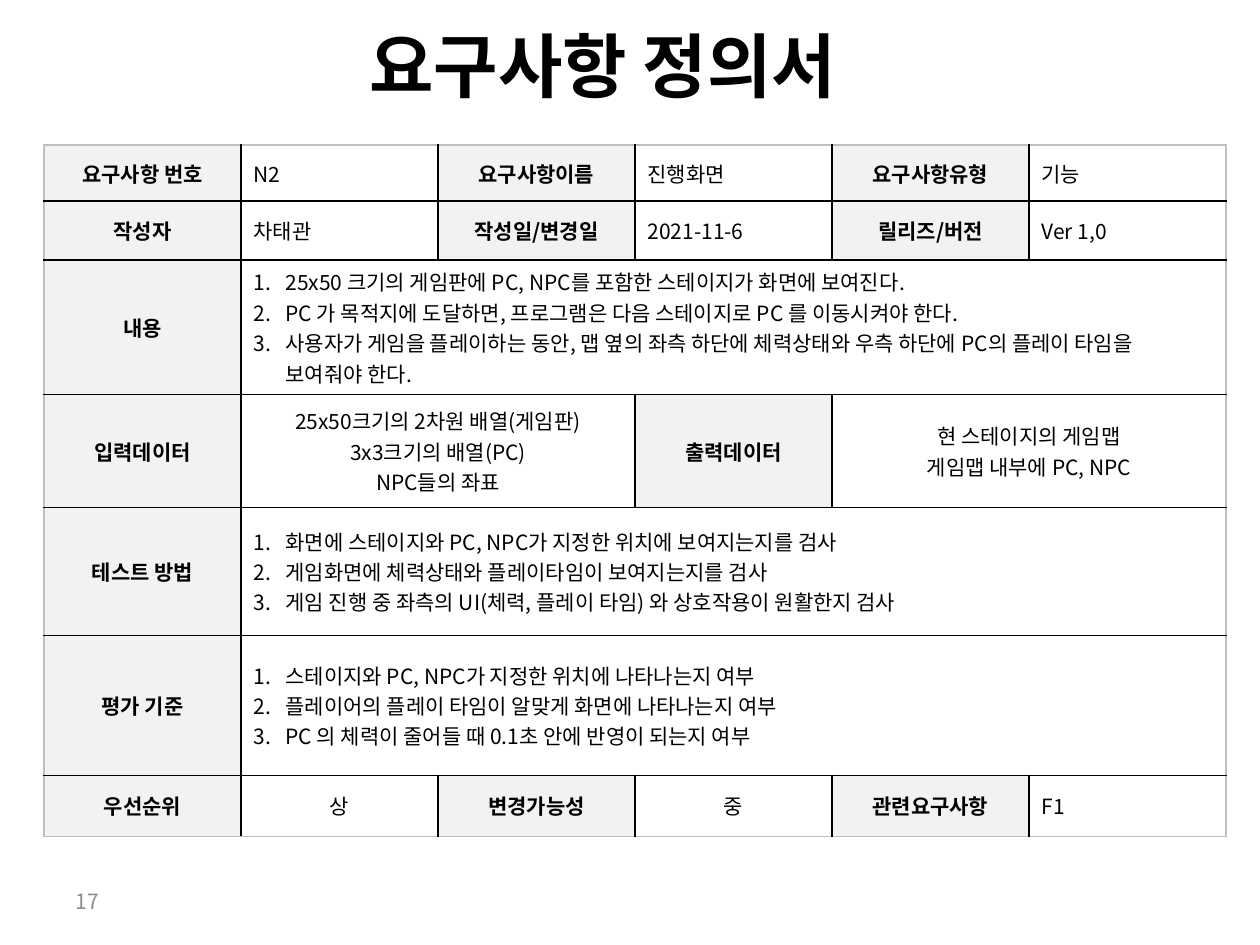
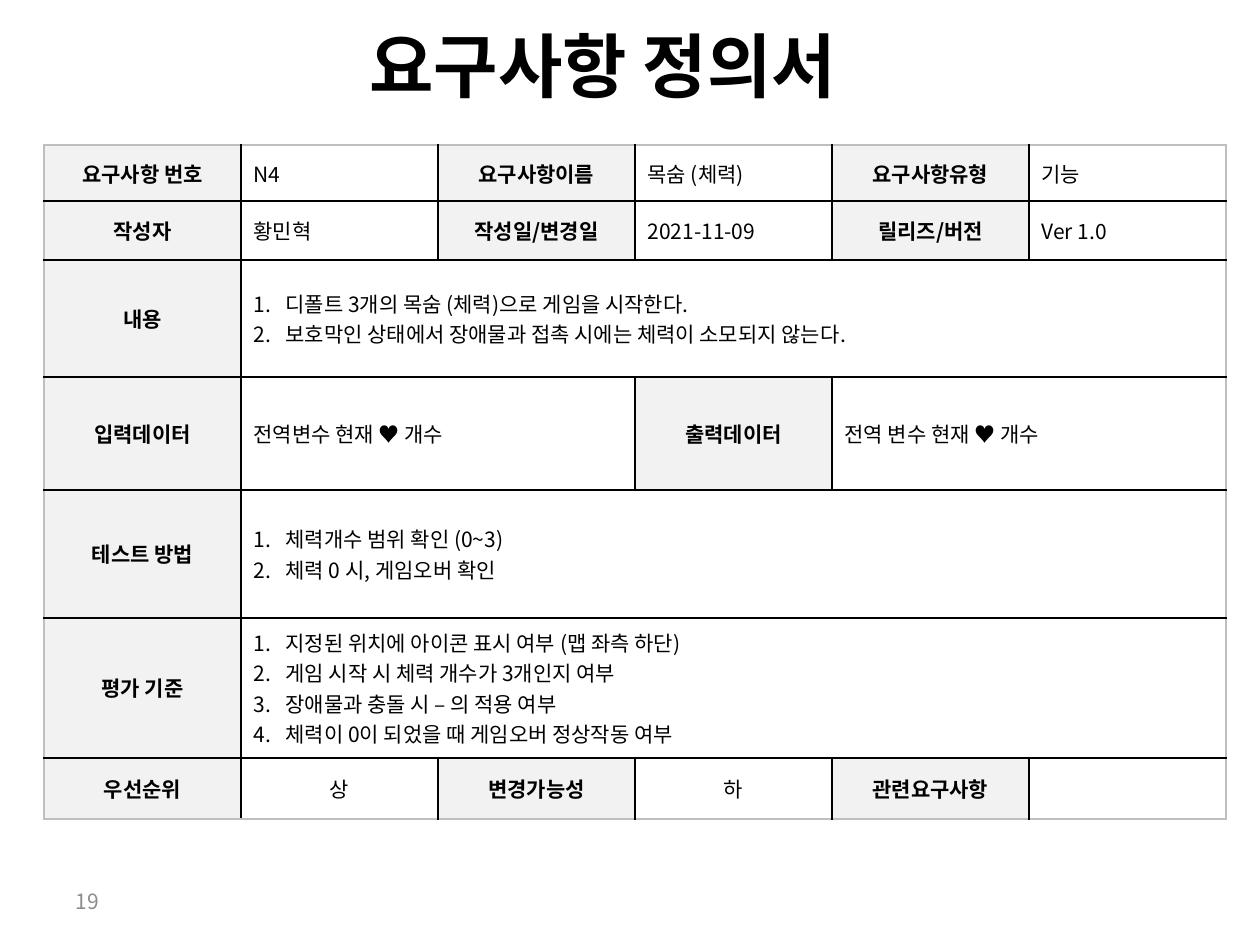
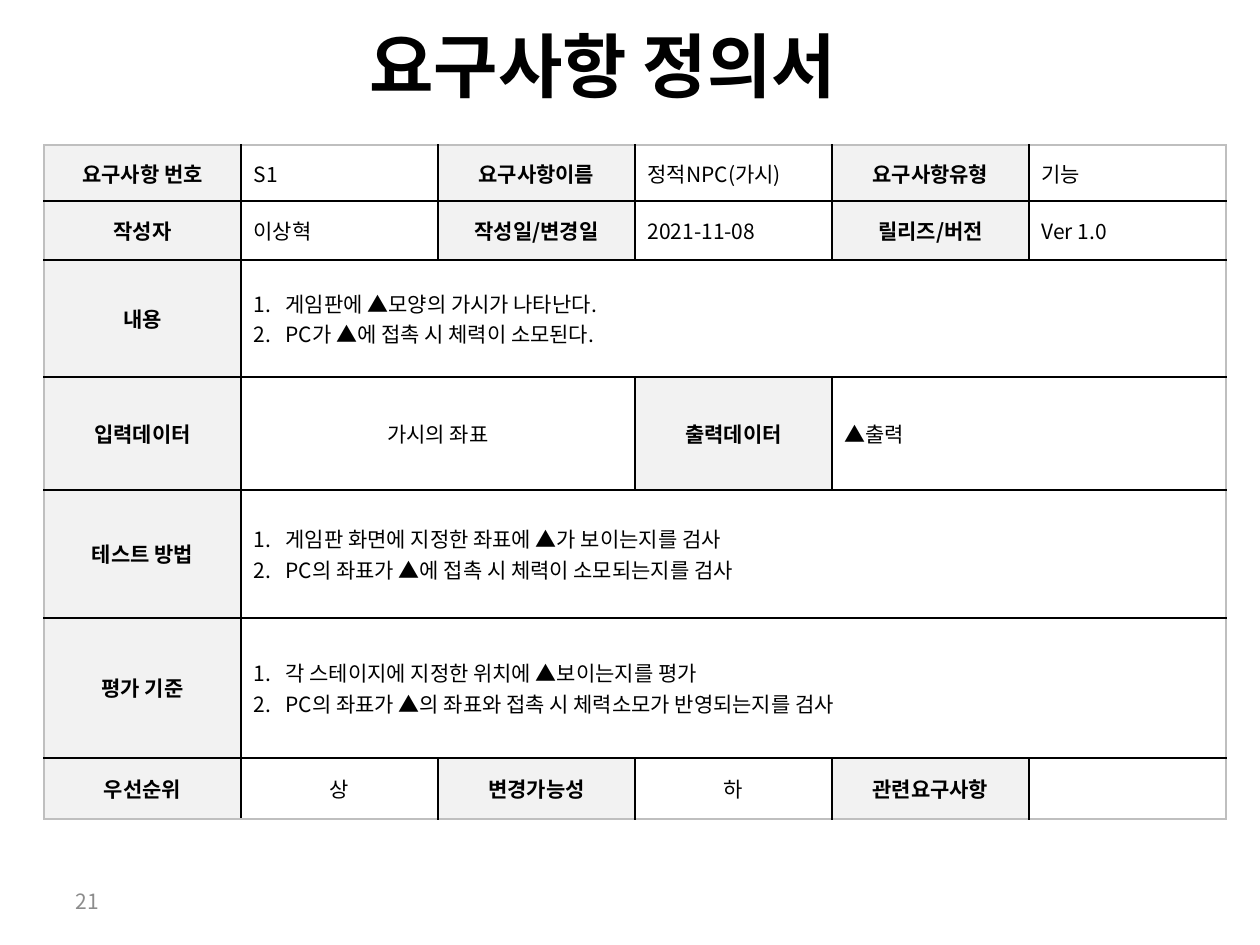
"""Build three requirement definition slides from one shared form."""
from dataclasses import dataclass

from lxml.etree import SubElement
from pptx import Presentation
from pptx.dml.color import RGBColor
from pptx.enum.text import MSO_ANCHOR as Anchor, MSO_AUTO_SIZE as AutoSize, PP_ALIGN as Align
from pptx.oxml.ns import qn
from pptx.util import Pt

HEADING = "요구사항 정의서"

FORM = [
    (56, [("요구사항 번호", 1), ("요구사항이름", 1), ("요구사항유형", 1)]),
    (59, [("작성자", 1), ("작성일/변경일", 1), ("릴리즈/버전", 1)]),
    (117, [("내용", 5)]),
    (113, [("입력데이터", 2), ("출력데이터", 2)]),
    (128, [("테스트 방법", 5)]),
    (140, [("평가 기준", 5)]),
    (61, [("우선순위", 1), ("변경가능성", 1), ("관련요구사항", 1)]),
]


def plain(*lines):
    return "plain", lines


def centred(*lines):
    return "centred", lines


def numbered(*lines):
    return "numbered", lines


REQUIREMENTS = [
    ("17", [
        [plain("N2"), plain("진행화면"), plain("기능")],
        [plain("차태관"), plain("2021-11-6"), plain("Ver 1,0")],
        [numbered(
            "25x50 크기의 게임판에 PC, NPC를 포함한 스테이지가 화면에 보여진다.",
            "PC 가 목적지에 도달하면, 프로그램은 다음 스테이지로 PC 를 이동시켜야 한다.",
            "사용자가 게임을 플레이하는 동안, 맵 옆의 좌측 하단에 체력상태와 "
            "우측 하단에 PC의 플레이 타임을 보여줘야 한다.")],
        [centred("25x50크기의 2차원 배열(게임판)", "3x3크기의 배열(PC)", "NPC들의 좌표"),
         centred("현 스테이지의 게임맵", "게임맵 내부에 PC, NPC")],
        [numbered(
            "화면에 스테이지와 PC, NPC가 지정한 위치에 보여지는지를 검사",
            "게임화면에 체력상태와 플레이타임이 보여지는지를 검사",
            "게임 진행 중 좌측의 UI(체력, 플레이 타임) 와 상호작용이 원활한지 검사")],
        [numbered(
            "스테이지와 PC, NPC가 지정한 위치에 나타나는지 여부",
            "플레이어의 플레이 타임이 알맞게 화면에 나타나는지 여부",
            "PC 의 체력이 줄어들 때 0.1초 안에 반영이 되는지 여부")],
        [centred("상"), centred("중"), plain("F1")],
    ]),
    ("19", [
        [plain("N4"), plain("목숨 (체력)"), plain("기능")],
        [plain("황민혁"), plain("2021-11-09"), plain("Ver 1.0")],
        [numbered(
            "디폴트 3개의 목숨 (체력)으로 게임을 시작한다.",
            "보호막인 상태에서 장애물과 접촉 시에는 체력이 소모되지 않는다.")],
        [plain("전역변수 현재 ♥ 개수"), plain("전역 변수 현재 ♥ 개수")],
        [numbered("체력개수 범위 확인 (0~3)", "체력 0 시, 게임오버 확인")],
        [numbered(
            "지정된 위치에 아이콘 표시 여부 (맵 좌측 하단)",
            "게임 시작 시 체력 개수가 3개인지 여부",
            "장애물과 충돌 시 – 의 적용 여부",
            "체력이 0이 되었을 때 게임오버 정상작동 여부")],
        [centred("상"), centred("하"), plain()],
    ]),
    ("21", [
        [plain("S1"), plain("정적NPC(가시)"), plain("기능")],
        [plain("이상혁"), plain("2021-11-08"), plain("Ver 1.0")],
        [numbered("게임판에 ▲모양의 가시가 나타난다.", "PC가 ▲에 접촉 시 체력이 소모된다.")],
        [centred("가시의 좌표"), plain("▲출력")],
        [numbered(
            "게임판 화면에 지정한 좌표에 ▲가 보이는지를 검사",
            "PC의 좌표가 ▲에 접촉 시 체력이 소모되는지를 검사")],
        [numbered(
            "각 스테이지에 지정한 위치에 ▲보이는지를 평가",
            "PC의 좌표가 ▲의 좌표와 접촉 시 체력소모가 반영되는지를 검사")],
        [centred("상"), centred("하"), plain()],
    ]),
]


@dataclass(frozen=True)
class Theme:
    font: str = "Noto Sans CJK KR"
    ink: str = "000000"
    muted: str = "8C8C8C"
    label_fill: str = "F2F2F2"
    outer_line: str = "BFBFBF"
    line_width: float = 1
    title_size: int = 40
    body_size: int = 12


THEME = Theme()
SLIDE_SIZE = (1260, 945)
TITLE_BOX = (357, 16, 546, 97)
NUMBER_BOX = (63, 876, 294, 50)
TABLE_LEFT, TABLE_TOP = 44, 145
COLUMN_COUNT, COLUMN_WIDTH = 6, 197
NUMBER_INDENT = 32


def px(length):
    return round(length * 914400 / 126)


def apply(target, **values):
    for name, value in values.items():
        setattr(target, name, value)


def place(shape, box):
    apply(shape, **dict(zip(("left", "top", "width", "height"), map(px, box))))


def write(paragraph, text, size=THEME.body_size, color=THEME.ink, bold=False):
    run = paragraph.add_run()
    run.text = text
    apply(run.font, name=THEME.font, size=Pt(size), bold=bold)
    run.font.color.rgb = RGBColor.from_string(color)
    SubElement(run.font._element, qn("a:ea"), typeface=THEME.font)


def fill_cell(cell, kind, lines, bold=False):
    cell.vertical_anchor = Anchor.MIDDLE
    frame = cell.text_frame
    for index, line in enumerate(lines):
        paragraph = frame.add_paragraph() if index else frame.paragraphs[0]
        paragraph.alignment = Align.CENTER if kind == "centred" else Align.LEFT
        if kind == "numbered":
            properties = paragraph._p.get_or_add_pPr()
            properties.set("marL", str(px(NUMBER_INDENT)))
            properties.set("indent", str(-px(NUMBER_INDENT)))
            SubElement(properties, qn("a:buFont"), typeface=THEME.font)
            SubElement(properties, qn("a:buAutoNum"), type="arabicPeriod")
        write(paragraph, line, bold=bold)


def draw_borders(cell, row, column):
    last = column + (cell.span_width if cell.is_merge_origin else 1)
    outer_sides = {
        "a:lnL": column == 0,
        "a:lnR": last == COLUMN_COUNT,
        "a:lnT": row == 0,
        "a:lnB": row == len(FORM) - 1,
    }
    properties = cell._tc.get_or_add_tcPr()
    for side, is_outer in outer_sides.items():
        line = SubElement(properties, qn(side), w=str(Pt(THEME.line_width)))
        solid = SubElement(line, qn("a:solidFill"))
        SubElement(solid, qn("a:srgbClr"), val=THEME.outer_line if is_outer else THEME.ink)


def add_form(slide, answers):
    height = sum(row_height for row_height, _ in FORM)
    box = (TABLE_LEFT, TABLE_TOP, COLUMN_COUNT * COLUMN_WIDTH, height)
    table = slide.shapes.add_table(len(FORM), COLUMN_COUNT, *map(px, box)).table
    apply(table, first_row=False, horz_banding=False)
    for column in table.columns:
        column.width = px(COLUMN_WIDTH)
    label_places = set()
    for row, ((row_height, fields), values) in enumerate(zip(FORM, answers)):
        table.rows[row].height = px(row_height)
        column = 0
        for (label, span), (kind, lines) in zip(fields, values):
            label_places.add((row, column))
            fill_cell(table.cell(row, column), "centred", [label], bold=True)
            answer = table.cell(row, column + 1)
            if span > 1:
                answer.merge(table.cell(row, column + span))
            fill_cell(answer, kind, lines)
            column += span + 1
    for row in range(len(FORM)):
        for column in range(COLUMN_COUNT):
            cell = table.cell(row, column)
            draw_borders(cell, row, column)
            if (row, column) in label_places:
                cell.fill.solid()
                cell.fill.fore_color.rgb = RGBColor.from_string(THEME.label_fill)
            else:
                cell.fill.background()


def add_title(slide):
    title = slide.shapes.title
    place(title, TITLE_BOX)
    apply(title.text_frame, vertical_anchor=Anchor.TOP, auto_size=AutoSize.NONE, word_wrap=True)
    paragraph = title.text_frame.paragraphs[0]
    paragraph.alignment = Align.LEFT
    write(paragraph, HEADING, THEME.title_size, bold=True)


def add_page_number(slide, number):
    frame = slide.shapes.add_textbox(*map(px, NUMBER_BOX)).text_frame
    apply(frame, vertical_anchor=Anchor.MIDDLE, word_wrap=True)
    write(frame.paragraphs[0], number, color=THEME.muted)


def main():
    presentation = Presentation()
    width, height = map(px, SLIDE_SIZE)
    apply(presentation, slide_width=width, slide_height=height)
    title_only = presentation.slide_layouts.get_by_name("Title Only")
    for number, answers in REQUIREMENTS:
        slide = presentation.slides.add_slide(title_only)
        add_form(slide, answers)
        add_title(slide)
        add_page_number(slide, number)
    presentation.save("out.pptx")


if __name__ == "__main__":
    main()
